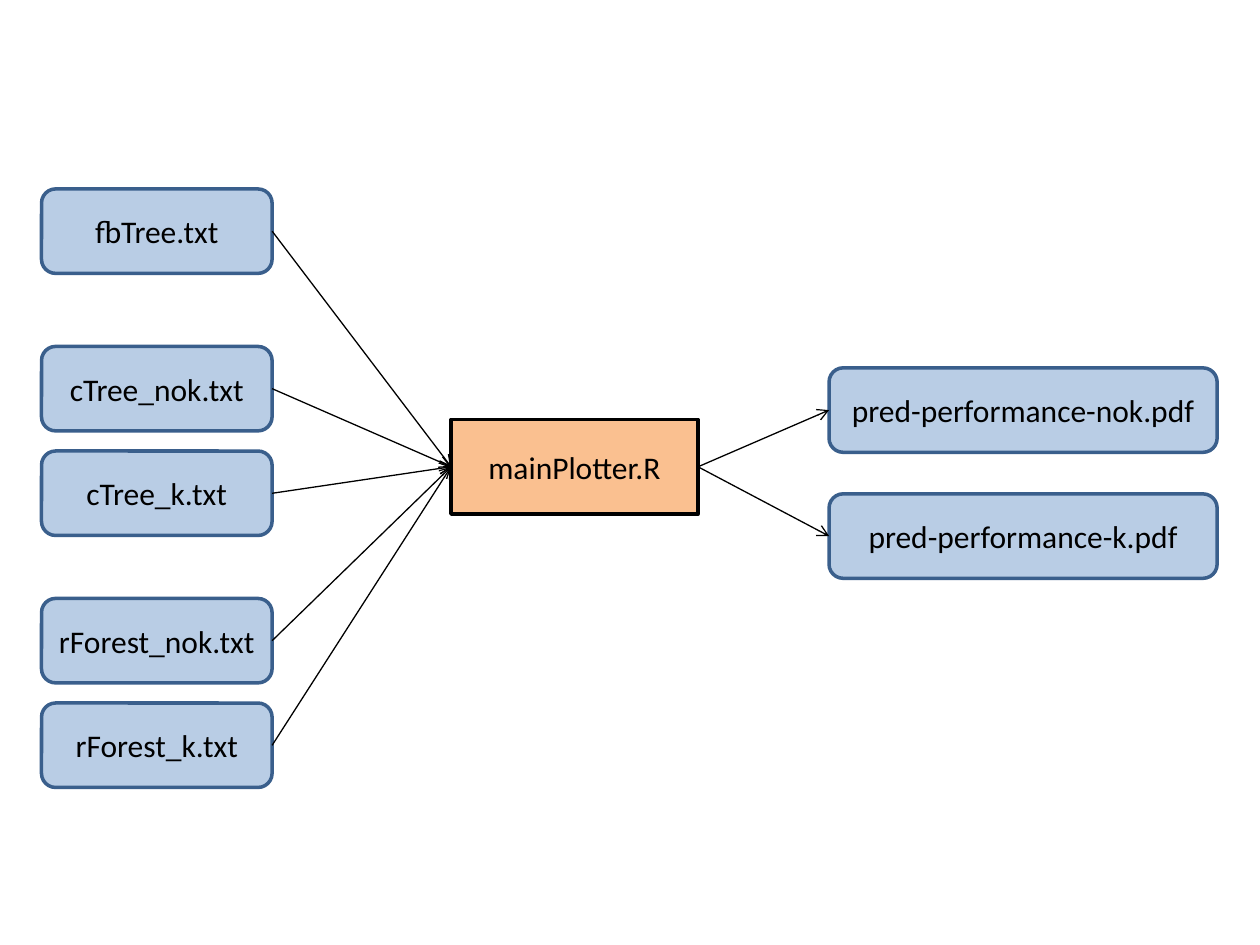
from lxml.etree import SubElement
from pptx import Presentation
from pptx.dml.color import RGBColor
from pptx.enum.shapes import MSO_CONNECTOR, MSO_SHAPE
from pptx.enum.text import MSO_ANCHOR, PP_ALIGN
from pptx.oxml.ns import qn
from pptx.util import Inches, Pt

LEFT_SITE, RIGHT_SITE = 1, 3
FILE_HEIGHT = 0.67
INPUTS = [("fbTree.txt", 1.5), ("cTree_nok.txt", 2.75), ("cTree_k.txt", 3.58),
          ("rForest_nok.txt", 4.75), ("rForest_k.txt", 5.58)]
OUTPUTS = [("pred-performance-nok.pdf", 2.92), ("pred-performance-k.pdf", 3.92)]


def color(hex_string):
    """Turn a hex string into a colour."""
    return RGBColor.from_string(hex_string)


def add_box(s, kind, text, left, top, width, height, fill, line):
    """Add an outlined box with centred text."""
    sp = s.shapes.add_shape(kind, Inches(left), Inches(top),
                            Inches(width), Inches(height))
    sp.shadow.inherit = False
    sp.fill.solid()
    sp.fill.fore_color.rgb = color(fill)
    sp.line.color.rgb = color(line)
    sp.line.width = Pt(2)
    tf = sp.text_frame
    tf.margin_left = tf.margin_right = Inches(0.05)
    tf.vertical_anchor = MSO_ANCHOR.MIDDLE
    p = tf.paragraphs[0]
    p.text = text
    p.alignment = PP_ALIGN.CENTER
    p.font.name = "Calibri"
    p.font.size = Pt(18)
    p.font.color.rgb = color("000000")
    return sp


def add_file(s, text, left, top, width):
    """Add a rounded blue box for a data file."""
    return add_box(s, MSO_SHAPE.FLOWCHART_ALTERNATE_PROCESS, text,
                   left, top, width, FILE_HEIGHT, "B9CDE5", "3A5F8C")


def add_arrow(s, source, target):
    """Connect the right side of one box to the left side of another."""
    line = s.shapes.add_connector(MSO_CONNECTOR.STRAIGHT, 0, 0, 0, 0)
    line.begin_connect(source, RIGHT_SITE)
    line.end_connect(target, LEFT_SITE)
    line.line.color.rgb = color("000000")
    line.line.width = Pt(0.75)
    SubElement(line.line._get_or_add_ln(), qn("a:tailEnd"), type="arrow")
    SubElement(line._element.spPr, qn("a:effectLst"))


def main():
    """Build the slide with the plotter script, its inputs and outputs."""
    prs = Presentation()
    prs.slide_width, prs.slide_height = Inches(10), Inches(7.5)
    s = prs.slides.add_slide(prs.slide_layouts[6])
    plotter = add_box(s, MSO_SHAPE.RECTANGLE, "mainPlotter.R",
                      3.58, 3.33, 1.96, 0.75, "FAC090", "000000")
    for text, top in INPUTS:
        add_arrow(s, add_file(s, text, 0.33, top, 1.83), plotter)
    for text, top in OUTPUTS:
        add_arrow(s, plotter, add_file(s, text, 6.58, top, 3.08))
    prs.save("out.pptx")


main()
